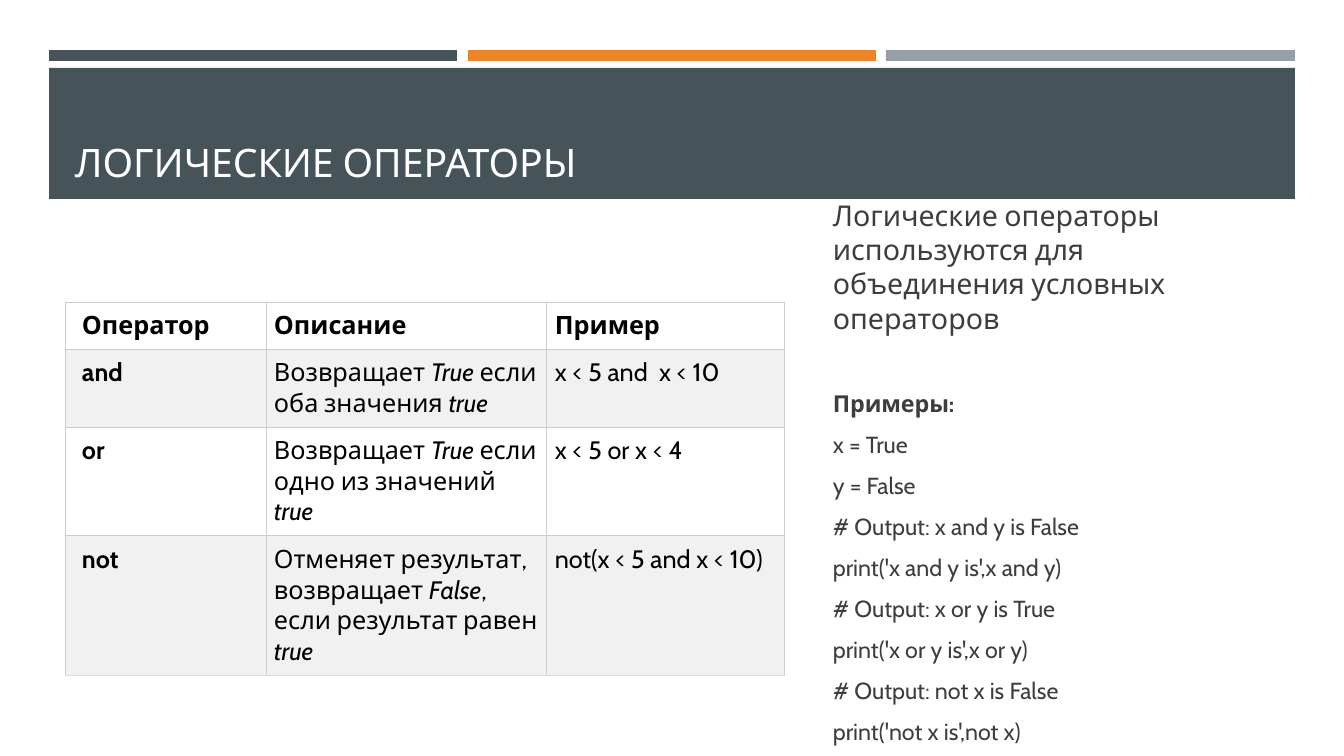
from lxml.etree import SubElement
from pptx import Presentation
from pptx.dml.color import RGBColor as RGB
from pptx.enum.shapes import MSO_SHAPE as SHAPE
from pptx.enum.text import MSO_ANCHOR as ANCHOR
from pptx.oxml.ns import qn
from pptx.util import Pt

SCALE = 914400 / 100.8
COLORS = {
    "slate": "465359", "orange": "ED8428", "gray": "969FA7",
    "white": "FFFFFF", "black": "000000", "body": "3D3D3D",
    "band": "F1F1F1", "border": "CCCCCC", "bottom": "DDDDDD",
}


def px(*lengths):
    return [round(length * SCALE) for length in lengths]


def write(paragraph, text, color, **font_format):
    for index, part in enumerate(text.split("*")):
        if not part:
            continue
        run = paragraph.add_run()
        run.text = part
        run.font.color.rgb = RGB.from_string(COLORS[color])
        values = {"name": "Cabin", "italic": index % 2 == 1} | font_format
        for name, value in values.items():
            setattr(run.font, name, value)


prs = Presentation()
prs.slide_width, prs.slide_height = px(1344, 756)
slide = prs.slides.add_slide(prs.slide_layouts[6])

bands = [
    (49, 50, 408, 11, "slate"),
    (468, 50, 408, 11, "orange"),
    (886, 50, 409, 11, "gray"),
    (49, 68, 1246, 131, "slate"),
]
for *place, color in bands:
    band = slide.shapes.add_shape(SHAPE.RECTANGLE, *px(*place))
    band.shadow.inherit = False
    band.fill.solid()
    band.fill.fore_color.rgb = RGB.from_string(COLORS[color])
    band.line.fill.background()

heading = slide.shapes.add_textbox(*px(65, 78, 1216, 112)).text_frame
heading.word_wrap = True
heading.vertical_anchor = ANCHOR.BOTTOM
write(heading.paragraphs[0], "ЛОГИЧЕСКИЕ ОПЕРАТОРЫ", "white", size=Pt(28))

explanation = slide.shapes.add_textbox(*px(823, 228, 458, 487)).text_frame
explanation.word_wrap = True
explanation.vertical_anchor = ANCHOR.MIDDLE
intro = explanation.paragraphs[0]
intro.line_spacing = Pt(24.5)
intro.space_after = Pt(6)
write(intro, "Логические операторы используются для объединения условных операторов",
      "body", size=Pt(20.4))

examples = [
    "Примеры:",
    "x = True",
    "y = False",
    "# Output: x and y is False",
    "print('x and y is',x and y)",
    "# Output: x or y is True",
    "print('x or y is',x or y)",
    "# Output: not x is False",
    "print('not x is',not x)",
]
for number, example in enumerate(examples):
    line = explanation.add_paragraph()
    spacing = {
        "line_spacing": Pt(20),
        "space_before": Pt(3.3 if number else 32.6),
        "space_after": Pt(6),
    }
    for name, value in spacing.items():
        setattr(line, name, value)
    write(line, example, "body", size=Pt(16.6), bold=number == 0)

operators = [
    ("Оператор", "Описание", "Пример"),
    ("and", "Возвращает *True *если оба значения *true*", "x < 5 and  x < 10"),
    ("or", "Возвращает *True *если одно из значений *true*", "x < 5 or x < 4"),
    ("not", "Отменяет результат, возвращает *False*, если результат равен *true*",
     "not(x < 5 and x < 10)"),
]
widths = [201, 281, 238]
heights = [47, 78, 109, 140]
table = slide.shapes.add_table(
    len(heights), len(widths), *px(65, 302, sum(widths), sum(heights))).table
for column, width in zip(table.columns, px(*widths)):
    column.width = width
for row, height in zip(table.rows, px(*heights)):
    row.height = height

for r, texts in enumerate(operators):
    for c, text in enumerate(texts):
        cell = table.cell(r, c)
        left, side = px(17 if c == 0 else 8, 8)
        margins = {"margin_left": left, "margin_right": side,
                   "margin_top": side, "margin_bottom": side}
        for name, value in margins.items():
            setattr(cell, name, value)
        write(cell.text_frame.paragraphs[0], text, "black",
              size=Pt(18), bold=r == 0 or c == 0)
        properties = cell._tc.get_or_add_tcPr()
        for edge in ("lnL", "lnR", "lnT", "lnB"):
            last = edge == "lnB" and r == len(operators) - 1
            border = SubElement(properties, qn(f"a:{edge}"), w=str(Pt(0.75)))
            fill = SubElement(border, qn("a:solidFill"))
            SubElement(fill, qn("a:srgbClr"), val=COLORS["bottom" if last else "border"])
        cell.fill.solid()
        cell.fill.fore_color.rgb = RGB.from_string(COLORS["band" if r % 2 else "white"])

prs.save("out.pptx")
